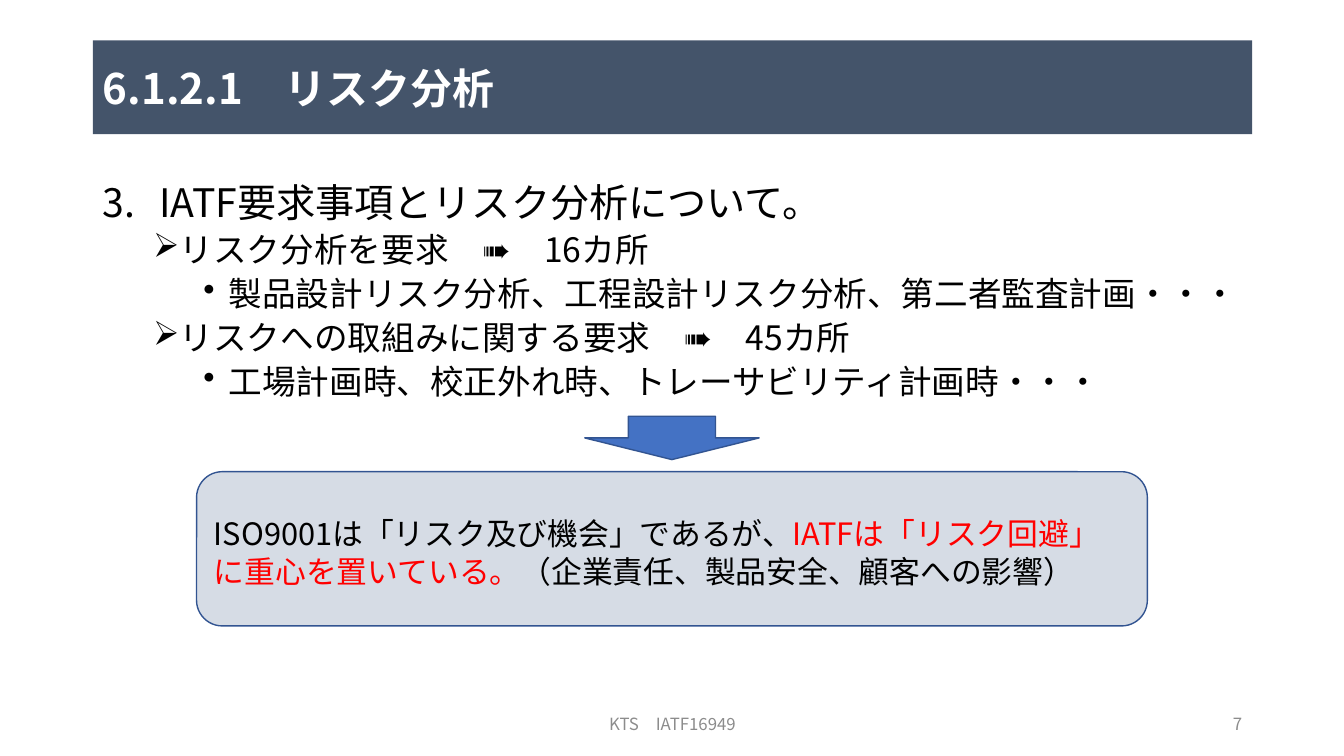
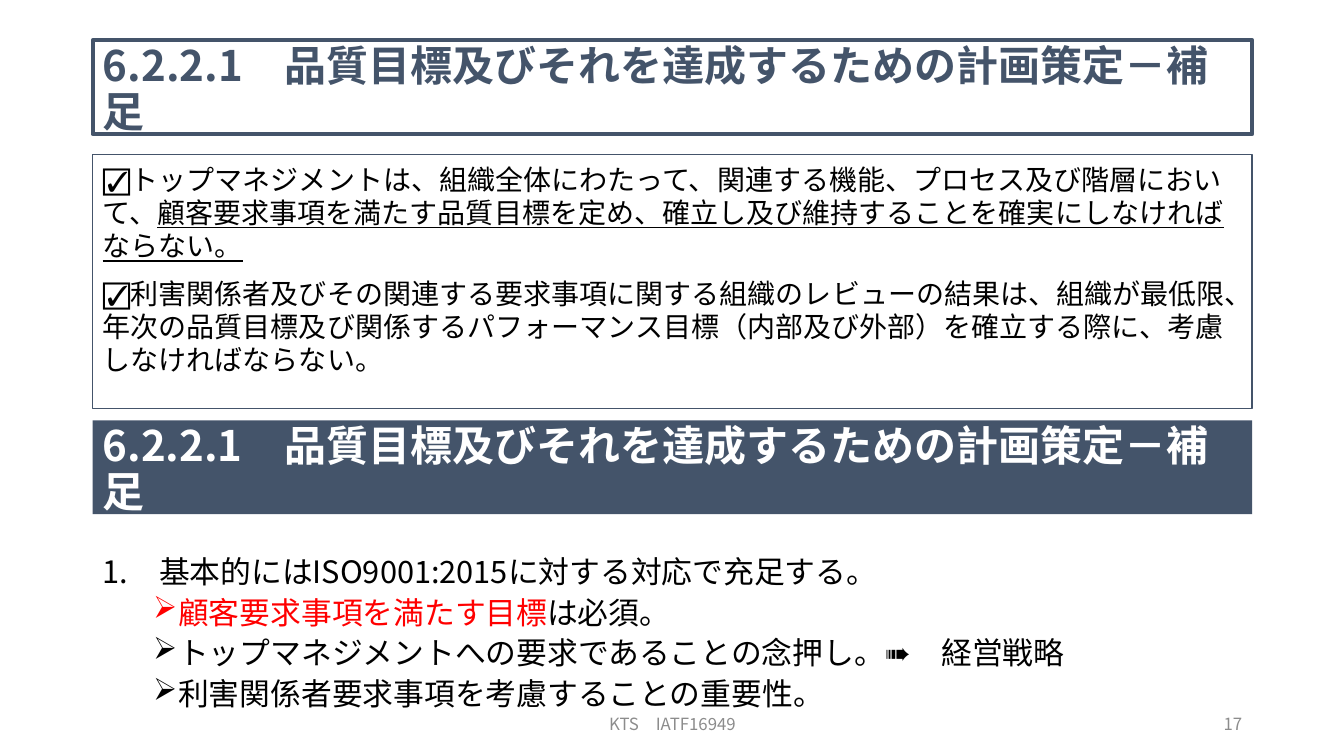
from pptx import Presentation
from pptx import util as u
from pptx.dml import color
from pptx.enum import shapes, text
from pptx.oxml import ns
from lxml import etree

FONT = "Noto Sans CJK JP"
NAVY, WHITE, BLACK, RED = "44546A", "FFFFFF", "000000", "FF0000"
GRAY, BLUE, BLUE_EDGE, PALE = "8C8C8C", "4472C4", "325491", "D6DCE5"
LEFT, WIDTH = 0.92, 11.5
BAND_TOP, BAND_HEIGHT = 0.4, 0.93
TIGHT, BOXED, SINGLE = 1.1, 1.19, 1.22
NUMBERED, ARROWED, DOTTED = (0.56, -0.56), (0.75, -0.25), (1.25, -0.25)


def rgb(value):
    return color.RGBColor.from_string(value)


def inches(*lengths):
    return [u.Inches(length) for length in lengths]


def paint(shape, fill=None, edge=None, edge_width=1):
    shape.shadow.inherit = False
    if fill:
        shape.fill.solid()
        shape.fill.fore_color.rgb = rgb(fill)
    else:
        shape.fill.background()
    if edge:
        shape.line.color.rgb = rgb(edge)
        shape.line.width = u.Pt(edge_width)
    else:
        shape.line.fill.background()


def prepare_frame(shape, anchor):
    frame = shape.text_frame
    frame.word_wrap = True
    frame.auto_size = text.MSO_AUTO_SIZE.NONE
    frame.vertical_anchor = anchor
    frame.margin_left, frame.margin_right = inches(0.1, 0.1)
    frame.margin_top, frame.margin_bottom = inches(0.08, 0.02)
    return frame


def add_run(paragraph, words, size, ink=BLACK, bold=False, underline=False):
    run = paragraph.add_run()
    run.text = words
    font = run.font
    font.name, font.size, font.bold = FONT, u.Pt(size), bold
    font.underline = underline
    font.color.rgb = rgb(ink)
    east_asian = etree.SubElement(run._r.get_or_add_rPr(), ns.qn("a:ea"))
    east_asian.set("typeface", FONT)


def next_paragraph(frame, size, spacing, gap=0, align=text.PP_ALIGN.LEFT):
    first = not frame.paragraphs[0].runs
    paragraph = frame.paragraphs[0] if first else frame.add_paragraph()
    paragraph.alignment = align
    paragraph.line_spacing = u.Pt(round(size * spacing, 1))
    paragraph.space_before = u.Pt(0 if first else gap)
    return paragraph


def set_bullet(paragraph, indents, kind, **settings):
    properties = paragraph._p.get_or_add_pPr()
    margin, hanging = inches(*indents)
    properties.set("marL", str(margin))
    properties.set("indent", str(hanging))
    bullet = etree.SubElement(properties, ns.qn(kind))
    for key, value in settings.items():
        bullet.set(key, value)


def add_heading(band, words, fill, ink, edge=None):
    paint(band, fill, edge, 3)
    frame = prepare_frame(band, text.MSO_ANCHOR.MIDDLE)
    add_run(next_paragraph(frame, 30, TIGHT), words, 30, ink, bold=True)


def add_footer(slide, left, width, words, align):
    box = slide.shapes.add_textbox(*inches(left, 6.95, width, 0.4))
    frame = prepare_frame(box, text.MSO_ANCHOR.MIDDLE)
    add_run(next_paragraph(frame, 12, SINGLE, align=align), words, 12, GRAY)


def add_slide(deck, number, title, fill, ink, edge=None):
    slide = deck.slides.add_slide(deck.slide_layouts[5])
    band = slide.shapes.title
    band.left, band.top, band.width, band.height = inches(
        LEFT, BAND_TOP, WIDTH, BAND_HEIGHT)
    add_heading(band, title, fill, ink, edge)
    add_footer(slide, 4.42, 4.5, "KTS\u3000IATF16949", text.PP_ALIGN.CENTER)
    add_footer(slide, 9.42, 3, str(number), text.PP_ALIGN.RIGHT)
    return slide


def add_list(slide, top, height, start, heading, heading_size, points, size):
    box = slide.shapes.add_textbox(*inches(LEFT, top, WIDTH, height))
    frame = prepare_frame(box, text.MSO_ANCHOR.TOP)
    lead = next_paragraph(frame, heading_size, TIGHT)
    set_bullet(lead, NUMBERED, "a:buAutoNum",
               type="arabicPeriod", startAt=str(start))
    add_run(lead, heading, heading_size)
    for indents, runs in points:
        point = next_paragraph(frame, size, TIGHT, 5)
        mark = "➢" if indents == ARROWED else "•"
        set_bullet(point, indents, "a:buChar", char=mark)
        for words, ink in runs:
            add_run(point, words, size, ink)


def add_panel(slide, preset, place, fill, edge):
    panel = slide.shapes.add_shape(preset, *inches(*place))
    paint(panel, fill, edge)
    return panel


def build_risk_slide(deck):
    slide = add_slide(deck, 7, "6.1.2.1\u3000リスク分析", NAVY, WHITE)
    add_list(slide, 1.73, 2.4, 3, "IATF要求事項とリスク分析について。", 28, [
        (ARROWED, [("リスク分析を要求\u3000➠\u300016カ所", BLACK)]),
        (DOTTED, [("製品設計リスク分析、工程設計リスク分析、第二者監査計画・・・", BLACK)]),
        (ARROWED, [("リスクへの取組みに関する要求\u3000➠\u300045カ所", BLACK)]),
        (DOTTED, [("工場計画時、校正外れ時、トレーサビリティ計画時・・・", BLACK)]),
    ], 24)
    add_panel(slide, shapes.MSO_SHAPE.DOWN_ARROW,
              (5.8, 4.13, 1.73, 0.43), BLUE, BLUE_EDGE)
    conclusion = add_panel(slide, shapes.MSO_SHAPE.ROUNDED_RECTANGLE,
                           (1.95, 4.68, 9.43, 1.53), PALE, BLUE_EDGE)
    frame = prepare_frame(conclusion, text.MSO_ANCHOR.MIDDLE)
    paragraph = next_paragraph(frame, 22, SINGLE)
    for words, ink in [
        ("ISO9001は「リスク及び機会」であるが、", BLACK),
        ("IATFは「リスク回避」に重心を置いている。", RED),
        ("（企業責任、製品安全、顧客への影響）", BLACK),
    ]:
        add_run(paragraph, words, 22, ink)


def build_quality_slide(deck):
    title = "6.2.2.1\u3000品質目標及びそれを達成するための計画策定－補足"
    slide = add_slide(deck, 17, title, WHITE, NAVY, NAVY)
    requirements = add_panel(slide, shapes.MSO_SHAPE.RECTANGLE,
                             (LEFT, 1.53, WIDTH, 2.52), None, NAVY)
    frame = prepare_frame(requirements, text.MSO_ANCHOR.TOP)
    for runs in [
        [("☑トップマネジメントは、組織全体にわたって、関連する機能、プロセス及び階層において、", False),
         ("顧客要求事項を満たす品質目標を定め、確立し及び維持することを確実にしなければならない。", True)],
        [("☑利害関係者及びその関連する要求事項に関する組織のレビューの結果は、組織が最低限、"
          "年次の品質目標及び関係するパフォーマンス目標（内部及び外部）を確立する際に、"
          "考慮しなければならない。", False)],
    ]:
        paragraph = next_paragraph(frame, 20, BOXED, 10)
        for words, underline in runs:
            add_run(paragraph, words, 20, underline=underline)
    explanation = add_panel(slide, shapes.MSO_SHAPE.RECTANGLE,
                            (LEFT, 4.17, WIDTH, BAND_HEIGHT), NAVY, None)
    add_heading(explanation, title, NAVY, WHITE)
    add_list(slide, 5.43, 1.52, 1, "基本的にはISO9001:2015に対する対応で充足する。", 22, [
        (ARROWED, [("顧客要求事項を満たす目標", RED), ("は必須。", BLACK)]),
        (ARROWED, [("トップマネジメントへの要求であることの念押し。➠\u3000経営戦略", BLACK)]),
        (ARROWED, [("利害関係者要求事項を考慮することの重要性。", BLACK)]),
    ], 22)


def main():
    deck = Presentation()
    deck.slide_width, deck.slide_height = inches(13.33, 7.5)
    build_risk_slide(deck)
    build_quality_slide(deck)
    deck.save("out.pptx")


main()
